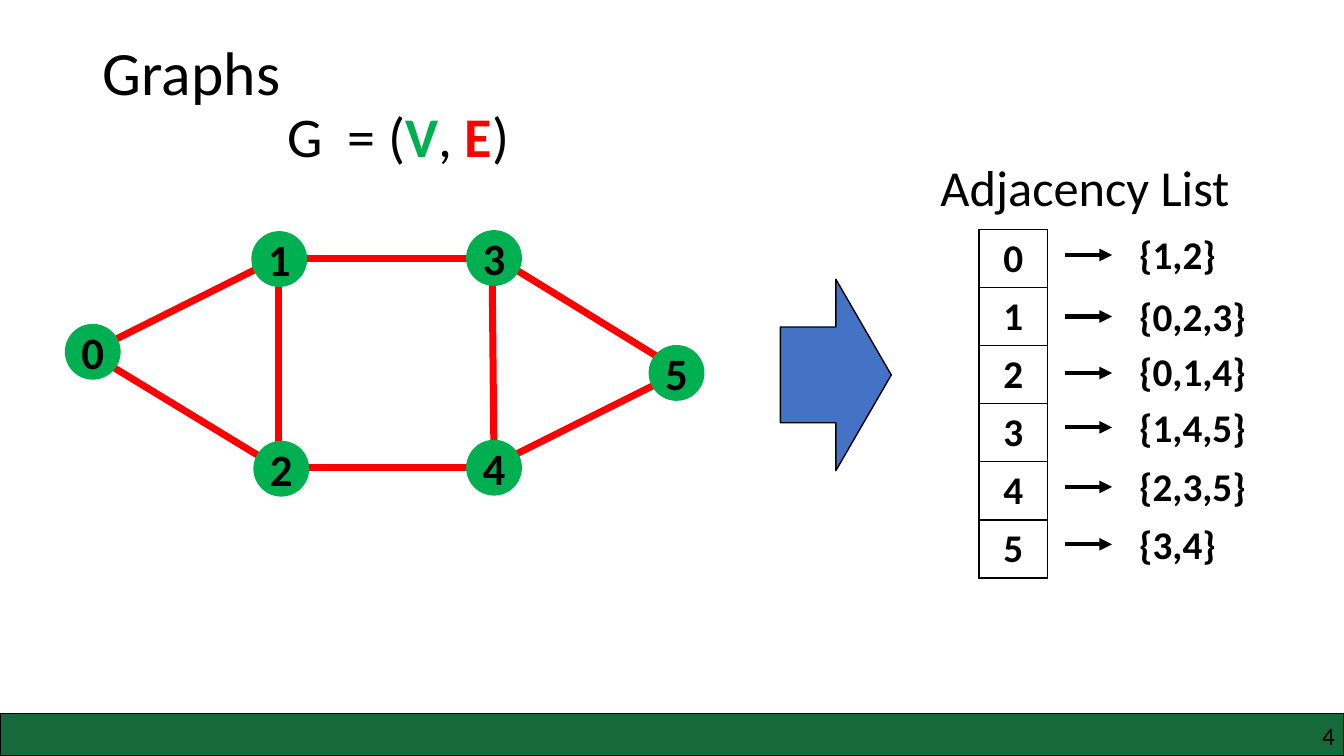
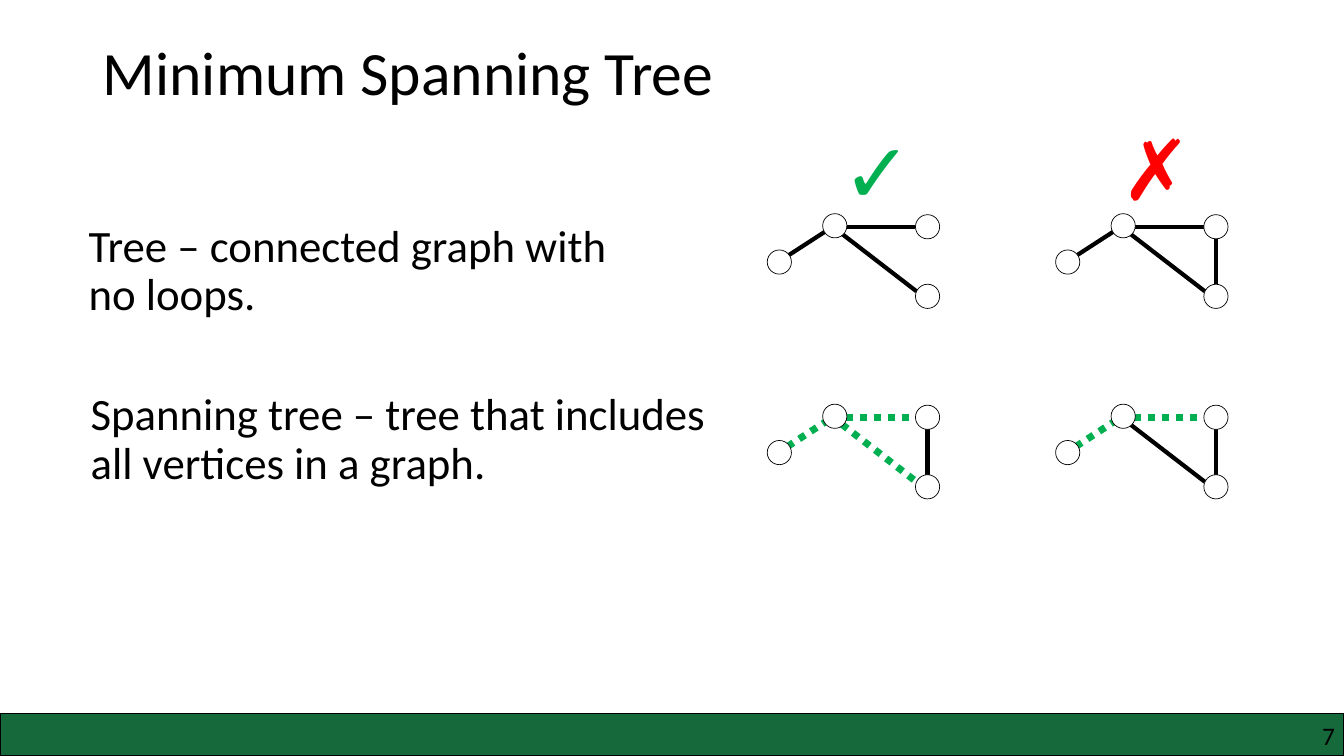
from lxml import etree
from pptx import Presentation
from pptx import util as u
from pptx.dml.color import RGBColor
from pptx.enum import dml, shapes, text
from pptx.oxml.ns import qn

PX = 9144  # EMU in one px, 100 px to the inch
WIDE, HIGH = 1333, 750
HEX = {"black": "000000", "white": "FFFFFF", "green": "00B050",
       "red": "FF0000", "blue": "4472C4", "band": "15693B"}
RGB = {name: RGBColor.from_string(code) for name, code in HEX.items()}
LEFT, MID, RIGHT = text.PP_ALIGN.LEFT, text.PP_ALIGN.CENTER, text.PP_ALIGN.RIGHT


def write(frame, runs, size, align=LEFT, face="Calibri", space=None):
    """Fill the frame's first paragraph with (words, colour, bold) runs."""
    para = frame.paragraphs[0]
    para.alignment = align
    if space:
        para.line_spacing = space
    for words, tint, bold in runs:
        run = para.add_run()
        run.text = words
        run.font.name, run.font.size, run.font.bold = face, u.Pt(size), bold
        run.font.color.rgb = RGB[tint]


def link(slide, ends, tint, width, dots=False, arrow=False):
    """Draw a straight line between ends (x1, y1, x2, y2)."""
    line = slide.shapes.add_connector(shapes.MSO_CONNECTOR.STRAIGHT,
                                      *[end * PX for end in ends])
    line.line.color.rgb = RGB[tint]
    line.line.width = u.Pt(width)
    if dots:
        line.line.dash_style = dml.MSO_LINE.ROUND_DOT
    props = line._element.spPr
    if arrow:
        etree.SubElement(props.find(qn("a:ln")), qn("a:tailEnd"), type="triangle")
    etree.SubElement(props, qn("a:effectLst"))


deck = Presentation()
deck.slide_width, deck.slide_height = WIDE * PX, HIGH * PX

# Titles
pages = []
for title in ("Graphs", "Minimum Spanning Tree"):
    page = deck.slides.add_slide(deck.slide_layouts[5])
    head = page.shapes.title
    head.left, head.top, head.width, head.height = [n * PX for n in (92, 2, 1150, 145)]
    head.text_frame.auto_size = text.MSO_AUTO_SIZE.NONE
    head.text_frame.vertical_anchor = text.MSO_ANCHOR.MIDDLE
    write(head.text_frame, [(title, "black", False)], 44, space=0.9)
    pages.append(page)
graph, tree = pages

# Lines of the large graph
for ends in ((276, 465, 276, 264), (276, 464, 488, 464), (490, 256, 277, 256),
             (488, 256, 490, 462), (488, 253, 667, 363), (485, 464, 669, 372),
             (94, 347, 278, 255), (97, 355, 276, 464)):
    link(graph, ends, "red", 5)

# Lines of the four small graphs: x, y, dotted edges, solid edges
EDGES = ((20, 42, 57, 18), (78, 13, 147, 13), (74, 20, 148, 77), (159, 70, 159, 21))
DOTS = ((0, 36), (147, 1), (55, 0), (147, 70))
COLS, ROWS = (761, 1047), (212, 401)
plans = ((COLS[0], ROWS[0], (), (0, 1, 2)),
         (COLS[1], ROWS[0], (), (0, 1, 2, 3)),
         (COLS[0], ROWS[1], (0, 1, 2), (3,)),
         (COLS[1], ROWS[1], (0, 1), (2, 3)))
for x, y, dotted, solid in plans:
    for edge in dotted + solid:
        x1, y1, x2, y2 = EDGES[edge]
        ends = (x + x1, y + y1, x + x2, y + y2)
        if edge in dotted:
            link(tree, ends, "green", 5, dots=True)
        else:
            link(tree, ends, "black", 3)

# Filled shapes: slide, kind, box, fill, line, line width, words
OVAL, BAR = shapes.MSO_SHAPE.OVAL, shapes.MSO_SHAPE.RECTANGLE
nodes = ((65, 322), (250, 230), (252, 438), (463, 229), (463, 437), (644, 343))
forms = [(graph, OVAL, (x, y, 54, 54), "green", "green", 1, str(num))
         for num, (x, y) in enumerate(nodes)]
forms += [(tree, OVAL, (x + dx, y + dy, 24, 24), "white", "black", 0.5, "")
          for x, y, *_ in plans for dx, dy in DOTS]
forms.append((graph, shapes.MSO_SHAPE.RIGHT_ARROW, (774, 277, 110, 190),
              "blue", "black", 1, ""))
forms += [(page, BAR, (0, 708, WIDE, 42), "band", "black", 1, "") for page in pages]
for page, kind, box, fill, edge, width, words in forms:
    form = page.shapes.add_shape(kind, *[n * PX for n in box])
    form.shadow.inherit = False
    form.fill.solid()
    form.fill.fore_color.rgb = RGB[fill]
    form.line.color.rgb = RGB[edge]
    form.line.width = u.Pt(width)
    if words:
        frame = form.text_frame
        frame.margin_left = frame.margin_right = 0
        frame.margin_top = frame.margin_bottom = 0
        frame.vertical_anchor = text.MSO_ANCHOR.MIDDLE
        write(frame, [(words, "black", True)], 32, MID)

# Adjacency list
lists = (("{1,2}", 253, 224), ("{0,2,3}", 314, 285), ("{0,1,4}", 370, 340),
         ("{1,4,5}", 424, 395), ("{2,3,5}", 483, 454), ("{3,4}", 540, 511))
table = graph.shapes.add_table(len(lists), 1, 971 * PX, 228 * PX,
                               68 * PX, 336 * PX).table
table.first_row = table.horz_banding = False
for num in range(len(lists)):
    cell = table.cell(num, 0)
    props = cell._tc.get_or_add_tcPr()
    for side in ("lnL", "lnR", "lnT", "lnB"):
        rule = etree.SubElement(props, qn("a:" + side), w="12700")
        paint = etree.SubElement(rule, qn("a:solidFill"))
        etree.SubElement(paint, qn("a:srgbClr"), val=HEX["black"])
    cell.fill.background()
    write(cell.text_frame, [(str(num), "black", True)], 28, MID)
for _, y, _ in lists:
    link(graph, (1056, y, 1103, y), "black", 3, arrow=True)

# Text boxes: slide, box, runs, size, font, line spacing
notes = [(graph, (1120, top, 145, 57), [(words, "black", True)], 28, "Calibri", None)
         for words, _, top in lists]
notes += [
    (graph, (923, 150, 420, 71), [("Adjacency List", "black", False)],
     36, "Calibri", None),
    (graph, (275, 96, 260, 77),
     [("G  = (", "black", False), ("V", "green", True), (", ", "black", False),
      ("E", "red", True), (")", "black", False)], 40, "Calibri", None),
    (tree, (78, 217, 576, 106),
     [("Tree – connected graph with no loops.", "black", False)], 32, "Calibri", 0.9),
    (tree, (80, 384, 672, 106),
     [("Spanning tree – tree that includes all vertices in a graph.", "black", False)],
     32, "Calibri", 0.9),
    (tree, (826, 114, 144, 111), [("✓", "green", True)], 60, "Arial", None),
    (tree, (1103, 111, 76, 111), [("✗", "red", True)], 60, "Arial", None),
]
for page, box, runs, size, face, space in notes:
    frame = page.shapes.add_textbox(*[n * PX for n in box]).text_frame
    frame.word_wrap = True
    write(frame, runs, size, face=face, space=space)

# Page numbers
for page, num in zip(pages, ("4", "7")):
    frame = page.shapes.add_textbox(1017 * PX, 715 * PX, 307 * PX, 30 * PX).text_frame
    frame.word_wrap = True
    frame.margin_left = frame.margin_right = frame.margin_top = frame.margin_bottom = 0
    write(frame, [(num, "black", False)], 18, RIGHT)

deck.save("out.pptx")
